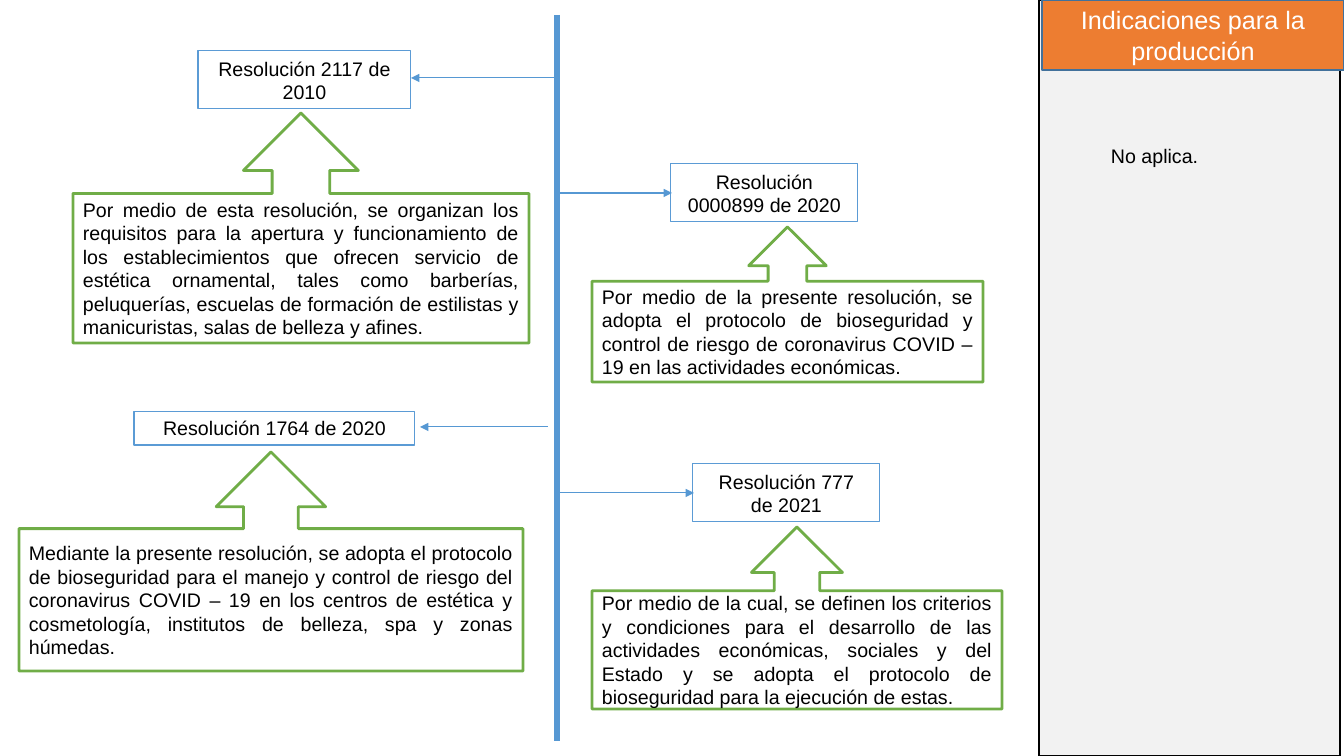
from pptx import Presentation
from pptx import util as u
from pptx.dml.color import RGBColor
from pptx.enum import shapes, text
from pptx.oxml.ns import qn
from lxml import etree

BLACK = RGBColor(0x00, 0x00, 0x00)
WHITE = RGBColor(0xFF, 0xFF, 0xFF)
GREY = RGBColor(0xF2, 0xF2, 0xF2)
ORANGE = RGBColor(0xED, 0x7D, 0x31)
TITLE_EDGE = RGBColor(0x42, 0x71, 0x9B)
BOX_EDGE = RGBColor(0x5B, 0x9B, 0xD5)
AXIS_BLUE = RGBColor(0x56, 0x98, 0xD3)
GREEN = RGBColor(0x70, 0xAD, 0x47)

# Content: name, name box, arrow (from x, to x, y), summary, callout box
AXIS_X = 557
RESOLUTIONS = [
    (["Resolución 2117 de 2010"], (198, 51, 213, 58), (AXIS_X, 411, 78),
     "Por medio de esta resolución, se organizan los requisitos para la apertura y "
     "funcionamiento de los establecimientos que ofrecen servicio de estética ornamental, "
     "tales como barberías, peluquerías, escuelas de formación de estilistas y "
     "manicuristas, salas de belleza y afines.", (73, 113, 456, 230)),
    (["Resolución 0000899 de 2020"], (671, 164, 187, 58), (AXIS_X, 672, 193),
     "Por medio de la presente resolución, se adopta el protocolo de bioseguridad y "
     "control de riesgo de coronavirus COVID – 19 en las actividades económicas.",
     (592, 227, 391, 155)),
    (["Resolución 1764 de 2020"], (134, 411, 281, 34), (548, 420, 427),
     "Mediante la presente resolución, se adopta el protocolo de bioseguridad para el "
     "manejo y control de riesgo del coronavirus COVID – 19 en los centros de estética y "
     "cosmetología, institutos de belleza, spa y zonas húmedas.", (19, 452, 504, 219)),
    (["Resolución 777", "de 2021"], (693, 464, 187, 58), (AXIS_X, 694, 493),
     "Por medio de la cual, se definen los criterios y condiciones para el desarrollo de "
     "las actividades económicas, sociales y del Estado y se adopta el protocolo de "
     "bioseguridad para la ejecución de estas.", (592, 527, 410, 182)),
]


def px(pixels):
    return u.Emu(round(pixels * 914400 / 100.8))


def write(shape, lines, size=14, color=BLACK, align=text.PP_ALIGN.CENTER,
          anchor=text.MSO_ANCHOR.MIDDLE):
    frame = shape.text_frame
    frame.word_wrap = True
    frame.auto_size = text.MSO_AUTO_SIZE.NONE
    frame.vertical_anchor = anchor
    frame.margin_left = frame.margin_right = u.Inches(0.1)
    frame.margin_top = frame.margin_bottom = u.Inches(0.05)
    for index, line in enumerate(lines):
        paragraph = frame.paragraphs[0] if index == 0 else frame.add_paragraph()
        paragraph.alignment = align
        run = paragraph.add_run()
        run.text = line
        run.font.name = "Arial"
        run.font.size = u.Pt(size)
        run.font.color.rgb = color


def paint(shape, fill, edge, width):
    if fill is None:
        shape.fill.background()
    else:
        shape.fill.solid()
        shape.fill.fore_color.rgb = fill
    shape.line.color.rgb = edge
    shape.line.width = u.Pt(width)


def add_box(kind, box, fill, edge, width):
    shape = slide.shapes.add_shape(kind, *map(px, box))
    shape.shadow.inherit = False
    paint(shape, fill, edge, width)
    return shape


def add_line(x1, y1, x2, y2, width, arrow=False):
    line = slide.shapes.add_connector(shapes.MSO_CONNECTOR.STRAIGHT,
                                      *map(px, (x1, y1, x2, y2)))
    line.line.color.rgb = AXIS_BLUE
    line.line.width = u.Pt(width)
    properties = line._element.spPr
    if arrow:
        etree.SubElement(properties.find(qn("a:ln")), qn("a:tailEnd"), type="triangle")
    etree.SubElement(properties, qn("a:effectLst"))


presentation = Presentation()
presentation.slide_width, presentation.slide_height = px(1344), px(756)
slide = presentation.slides.add_slide(presentation.slide_layouts[5])

# Side panel with its title on top
panel = add_box(shapes.MSO_SHAPE.RECTANGLE, (1039, 0, 301, 756), GREY, BLACK, 1)
title = slide.shapes.title
panel._element.addnext(title._element)
title.left, title.top, title.width, title.height = map(px, (1042, 0, 302, 70))
paint(title, ORANGE, TITLE_EDGE, 1)
write(title, ["Indicaciones para la producción"], size=18, color=WHITE)
note = slide.shapes.add_textbox(*map(px, (1101, 139, 243, 47)))
write(note, ["No aplica."], align=text.PP_ALIGN.LEFT, anchor=text.MSO_ANCHOR.TOP)

# Timeline axis
add_line(AXIS_X, 15, AXIS_X, 741, 4.5)

# Resolutions: name box, arrow from the axis, summary callout
for name, name_box, (start, end, y), summary, callout_box in RESOLUTIONS:
    write(add_box(shapes.MSO_SHAPE.RECTANGLE, name_box, None, BOX_EDGE, 0.75), name)
    add_line(start, y, end, y, 0.75, arrow=True)
    callout = add_box(shapes.MSO_SHAPE.UP_ARROW_CALLOUT, callout_box, WHITE, GREEN, 2)
    write(callout, [summary], align=text.PP_ALIGN.JUSTIFY)

presentation.save("out.pptx")
